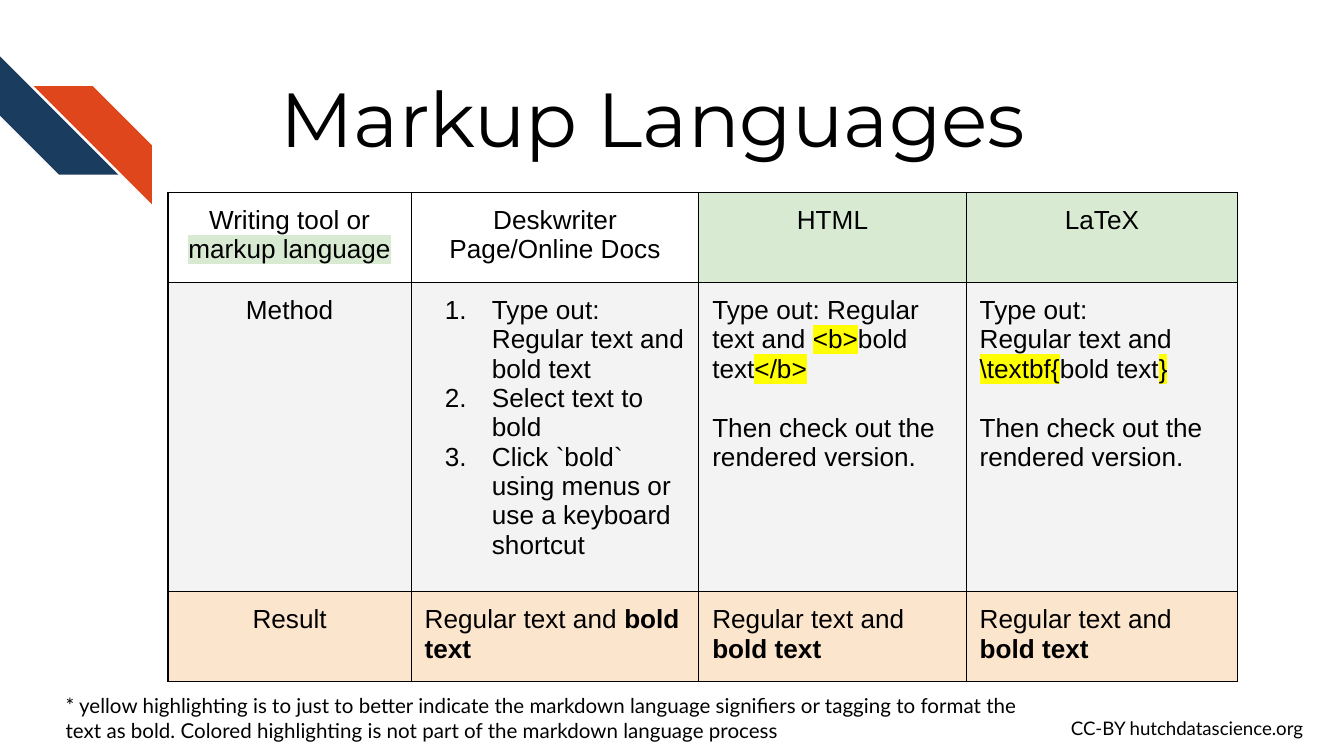
import pptx
import pptx.util
import pptx.dml.color
import pptx.enum.shapes
import pptx.enum.text
import pptx.oxml
import pptx.oxml.ns

Inches, Pt = pptx.util.Inches, pptx.util.Pt
Align = pptx.enum.text.PP_ALIGN
COLORS = {
    "ink": "000000", "navy": "1A3C5F", "orange": "E0461B", "green": "D9EAD3",
    "gray": "F3F3F3", "peach": "FCE5CD", "yellow": "FFFF00", "white": "FFFFFF",
}

WIDTH = 10
HEIGHT = WIDTH * 9 / 16

TITLE = "Markup Languages"
CREDIT = "CC-BY hutchdatascience.org"
NOTE = ("* yellow highlighting is to just to better indicate the markdown language "
        "signifiers or tagging to format the text as bold. Colored highlighting "
        "is not part of the markdown language process")

STRIPES = [(0, 0.42, 270, "navy"), (0.25, 0.64, 90, "orange")]
TEXTS = [
    (CREDIT, 7.87, 5.25, 1.94, 0.37, 10, "Lato", 0.1),
    (TITLE, 1.25, 0.43, 8.69, 1, 41, "Montserrat", 0.84),
    (NOTE, 0.39, 5.06, 7.46, 0.57, 11, "Lato", 0.1),
]

COLS = [1.81, 2.14, 1.99, 2.02]
ROWS = [0.67, 1.74, 0.67]
FILLS = [[None, None, "green", "green"], ["gray"] * 4, ["peach"] * 4]

CHECK = ("gap", ["Then check out the rendered version."])
RESULT = [("left", ["Regular text and ", ("bold text", "bold")])]
CELLS = [
    [
        [("center", ["Writing tool or ", ("markup language", "green")])],
        [("center", ["Deskwriter Page/Online Docs"])],
        [("center", ["HTML"])],
        [("center", ["LaTeX"])],
    ],
    [
        [("center", ["Method"])],
        [
            ("number", ["Type out: Regular text and bold text"]),
            ("number", ["Select text to bold"]),
            ("number", ["Click `bold` using menus or use a keyboard shortcut"]),
        ],
        [
            ("left", ["Type out: Regular text and ", ("<b>", "yellow"),
                      "bold text", ("</b>", "yellow")]),
            CHECK,
        ],
        [
            ("left", ["Type out:"]),
            ("left", ["Regular text and ", ("\\textbf{", "yellow"),
                      "bold text", ("}", "yellow")]),
            CHECK,
        ],
    ],
    [[("center", ["Result"])], RESULT, RESULT, RESULT],
]


def color(name):
    return pptx.dml.color.RGBColor.from_string(COLORS[name])


def add_xml(parent, body):
    ns = pptx.oxml.ns.nsdecls("a")
    for node in pptx.oxml.parse_xml(f"<a:box {ns}>{body}</a:box>"):
        parent.append(node)


def paint(name):
    return f'<a:srgbClr val="{COLORS[name]}"/>'


def set_font(para, size, face):
    para.font.size = Pt(size)
    para.font.name = face
    para.font.color.rgb = color("ink")


def add_stripe(slide, left, top, turn, fill):
    kind = pptx.enum.shapes.MSO_SHAPE.DIAGONAL_STRIPE
    stripe = slide.shapes.add_shape(
        kind, Inches(left), Inches(top), Inches(0.88), Inches(0.88))
    stripe.adjustments[0] = 0.5
    stripe.rotation = turn
    stripe.shadow.inherit = False
    stripe.fill.solid()
    stripe.fill.fore_color.rgb = color(fill)
    stripe.line.fill.background()


def add_text(slide, text, left, top, width, height, size, face, inset):
    box = slide.shapes.add_textbox(*map(Inches, (left, top, width, height)))
    frame = box.text_frame
    frame.word_wrap = True
    frame.margin_left = Inches(inset)
    frame.margin_right = frame.margin_top = frame.margin_bottom = Inches(0.1)
    para = frame.paragraphs[0]
    para.text = text
    set_font(para, size, face)


def fill_para(para, kind, runs):
    if kind == "number":
        props = para._p.get_or_add_pPr()
        props.set("marL", str(Inches(0.5)))
        props.set("indent", str(Inches(-0.35)))
        add_xml(props, f'<a:buClr>{paint("ink")}</a:buClr><a:buFont typeface="Arial"/>'
                       '<a:buAutoNum type="arabicPeriod"/>')
    para.alignment = Align.CENTER if kind == "center" else Align.LEFT
    if kind == "gap":
        para.space_before = Pt(16)
    set_font(para, 14, "Arial")
    for item in runs:
        text, style = (item, None) if isinstance(item, str) else item
        run = para.add_run()
        run.text = text
        if style == "bold":
            run.font.bold = True
        elif style:
            add_xml(run._r.get_or_add_rPr(), f"<a:highlight>{paint(style)}</a:highlight>")


def fill_cell(cell, paras, fill):
    cell.margin_left = cell.margin_right = Inches(0.1)
    cell.margin_top = cell.margin_bottom = Inches(0.1)
    for side in "LRTB":
        add_xml(cell._tc.get_or_add_tcPr(),
                f'<a:ln{side} w="{Pt(0.75)}"><a:solidFill>{paint("ink")}'
                f'</a:solidFill></a:ln{side}>')
    if fill:
        cell.fill.solid()
        cell.fill.fore_color.rgb = color(fill)
    else:
        cell.fill.background()
    frame = cell.text_frame
    for i, (kind, runs) in enumerate(paras):
        para = frame.add_paragraph() if i else frame.paragraphs[0]
        fill_para(para, kind, runs)


def add_grid(slide):
    table = slide.shapes.add_table(
        len(ROWS), len(COLS), Inches(1.25), Inches(1.43),
        Inches(sum(COLS)), Inches(sum(ROWS))).table
    table.first_row = table.horz_banding = False
    for col, width in zip(table.columns, COLS):
        col.width = Inches(width)
    for r, height in enumerate(ROWS):
        table.rows[r].height = Inches(height)
        for c, paras in enumerate(CELLS[r]):
            fill_cell(table.cell(r, c), paras, FILLS[r][c])


def main():
    deck = pptx.Presentation()
    deck.slide_width, deck.slide_height = Inches(WIDTH), Inches(HEIGHT)
    slide = deck.slides.add_slide(deck.slide_layouts[6])
    for stripe in STRIPES:
        add_stripe(slide, *stripe)
    for text in TEXTS:
        add_text(slide, *text)
    add_grid(slide)
    deck.save("out.pptx")


if __name__ == "__main__":
    main()
